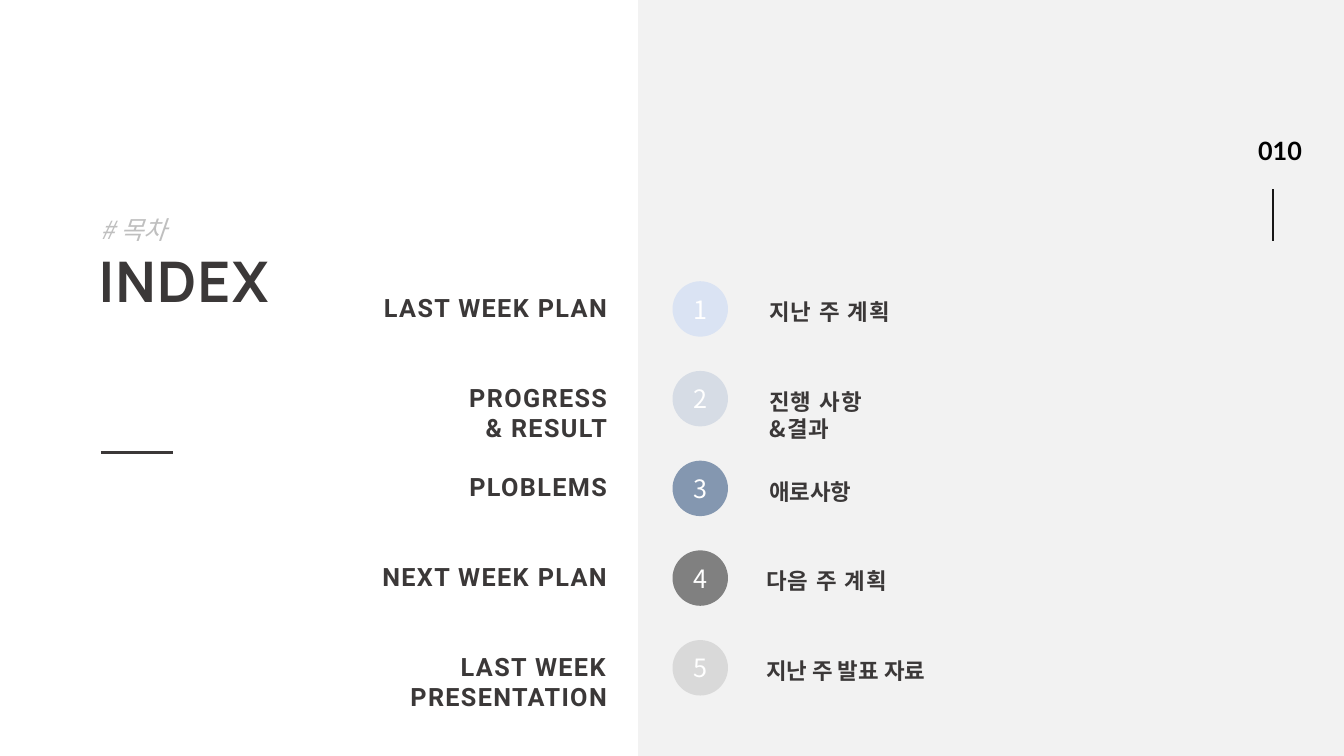
from pptx import Presentation
from pptx import util as u
from pptx.dml.color import RGBColor
from pptx.enum import shapes, text
from pptx.oxml.ns import qn
from lxml import etree

WHITE = RGBColor(0xFF, 0xFF, 0xFF)
BLACK = RGBColor(0x00, 0x00, 0x00)
PANEL = RGBColor(0xF2, 0xF2, 0xF2)
DARK = RGBColor(0x3B, 0x38, 0x38)
RULE = RGBColor(0x18, 0x17, 0x17)
MUTED = RGBColor(0xBF, 0xBF, 0xBF)
KOREAN = "Noto Sans CJK KR"

FIRST_ROW, ROW_STEP = 2.79, 0.89
BADGE_LEFT, BADGE_SIZE = 6.67, 0.55

# English label, left, width; Korean label, left, width, spacing; badge colour
AGENDA = [
    ("LAST WEEK PLAN", 2.81, 3.31, "지난 주 계획", 7.53, 2.67, 1, RGBColor(0xDA, 0xE3, 0xF3)),
    ("PROGRESS\n& RESULT", 2.81, 3.31, "진행 사항\n&결과", 7.53, 2.67, 1, RGBColor(0xD6, 0xDC, 0xE5)),
    ("PLOBLEMS", 2.81, 3.31, "애로사항", 7.53, 2.67, 0, RGBColor(0x84, 0x97, 0xB0)),
    ("NEXT WEEK PLAN", 2.78, 3.34, "다음 주 계획", 7.5, 2.7, 1, RGBColor(0x80, 0x80, 0x80)),
    ("LAST WEEK PRESENTATION", 2.78, 3.34, "지난 주 발표 자료", 7.5, 2.7, 0, RGBColor(0xD9, 0xD9, 0xD9)),
]


class IndexSlide:
    def __init__(self, presentation):
        self.slide = presentation.slides.add_slide(presentation.slide_layouts[6])

    def set_text(self, shape, words, size, font, color, bold=False, italic=False,
                 spacing=0, align=text.PP_ALIGN.LEFT):
        """Fill a shape with text; spacing is the tracking in points."""
        shape.text_frame.text = words
        for paragraph in shape.text_frame.paragraphs:
            paragraph.alignment = align
            for run in paragraph.runs:
                run.font.size = u.Pt(size)
                run.font.name = font
                run.font.bold = bold
                run.font.italic = italic
                run.font.color.rgb = color
                properties = run._r.get_or_add_rPr()
                properties.set("spc", str(spacing * 100))
                east_asian = etree.Element(qn("a:ea"), typeface=font)
                properties.find(qn("a:latin")).addnext(east_asian)

    def label(self, words, left, top, width, height, *style, wrap=True, **options):
        box = self.slide.shapes.add_textbox(
            u.Inches(left), u.Inches(top), u.Inches(width), u.Inches(height))
        box.text_frame.word_wrap = wrap
        self.set_text(box, words, *style, **options)
        return box.text_frame.paragraphs[0]

    def block(self, kind, left, top, width, height, color):
        shape = self.slide.shapes.add_shape(
            kind, u.Inches(left), u.Inches(top), u.Inches(width), u.Inches(height))
        shape.shadow.inherit = False
        shape.fill.solid()
        shape.fill.fore_color.rgb = color
        shape.line.fill.background()
        return shape

    def badge(self, number, top, color):
        circle = self.block(shapes.MSO_SHAPE.OVAL, BADGE_LEFT, top,
                            BADGE_SIZE, BADGE_SIZE, color)
        circle.text_frame.vertical_anchor = text.MSO_ANCHOR.MIDDLE
        self.set_text(circle, str(number), 18, KOREAN, WHITE, align=text.PP_ALIGN.CENTER)

    def line(self, x1, y1, x2, y2, color, width):
        connector = self.slide.shapes.add_connector(
            shapes.MSO_CONNECTOR.STRAIGHT,
            u.Inches(x1), u.Inches(y1), u.Inches(x2), u.Inches(y2))
        connector.line.color.rgb = color
        connector.line.width = u.Pt(width)
        etree.SubElement(connector._element.spPr, qn("a:effectLst"))


def main():
    presentation = Presentation()
    presentation.slide_width = u.Inches(13.33)
    presentation.slide_height = u.Inches(7.5)
    index = IndexSlide(presentation)

    index.block(shapes.MSO_SHAPE.RECTANGLE, 6.33, 0, 7, 7.5, PANEL)
    index.label("010", 12.38, 1.29, 0.64, 0.4, 18, "Lato", BLACK, bold=True, wrap=False)
    index.line(12.63, 1.88, 12.63, 2.39, RULE, 1.5)

    title = index.label("INDEX", 0.88, 2.47, 3.55, 1.48, 40, "Manrope", DARK,
                        bold=True, spacing=1)
    title.line_spacing = 0.9
    index.line(1, 4.49, 1.72, 4.49, DARK, 2.75)
    subtitle = index.label("# 목차", 0.9, 2.13, 4.33, 0.41, 18, KOREAN, MUTED, italic=True)
    subtitle.line_spacing = u.Pt(18)
    subtitle.space_before = u.Pt(12)

    for row, (english, left, width, korean, korean_left, korean_width,
              spacing, color) in enumerate(AGENDA):
        top = FIRST_ROW + row * ROW_STEP
        extra_lines = english.count("\n")
        index.badge(row + 1, top, color)
        index.label(english, left, top + 0.06, width, 0.4 + 0.31 * extra_lines,
                    18, "Roboto", DARK, bold=True, spacing=1, align=text.PP_ALIGN.RIGHT)
        index.label(korean, korean_left, top + 0.12, korean_width, 0.37 + 0.27 * extra_lines,
                    16, KOREAN, DARK, bold=True, spacing=spacing)

    presentation.save("out.pptx")


if __name__ == "__main__":
    main()
